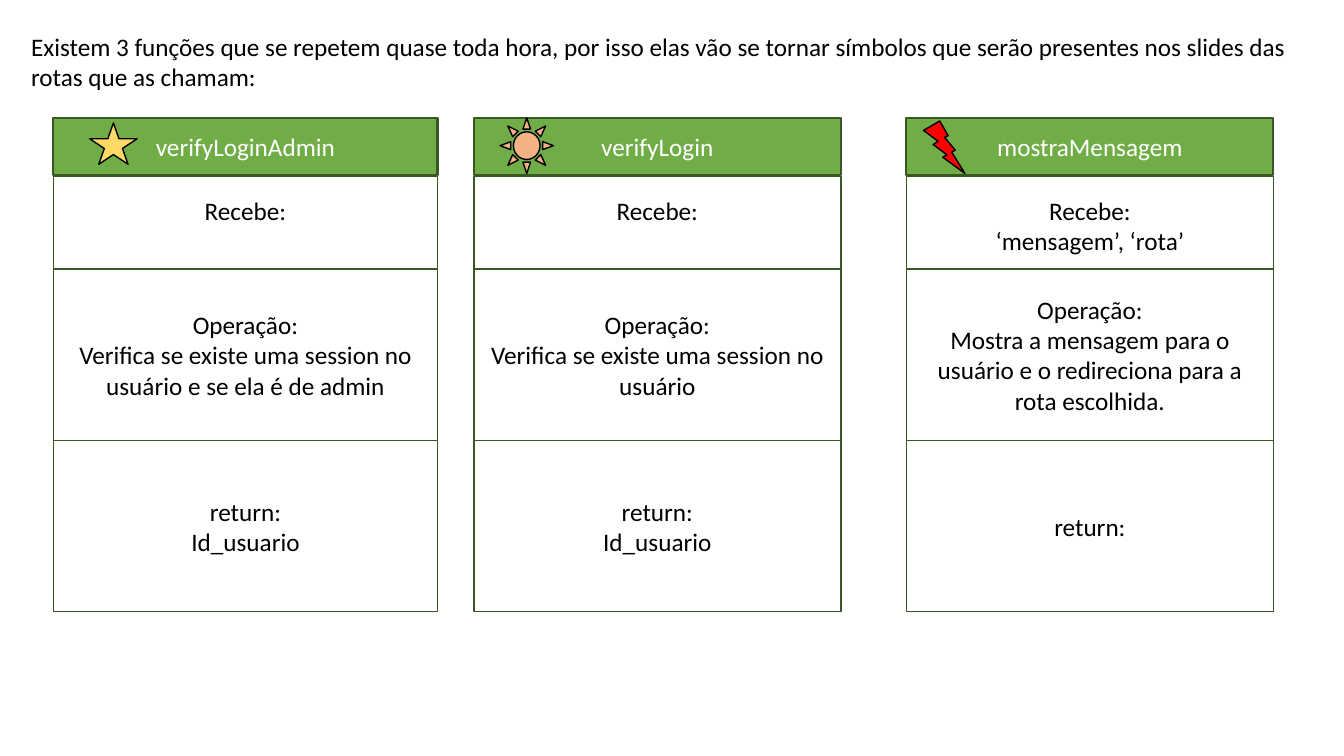
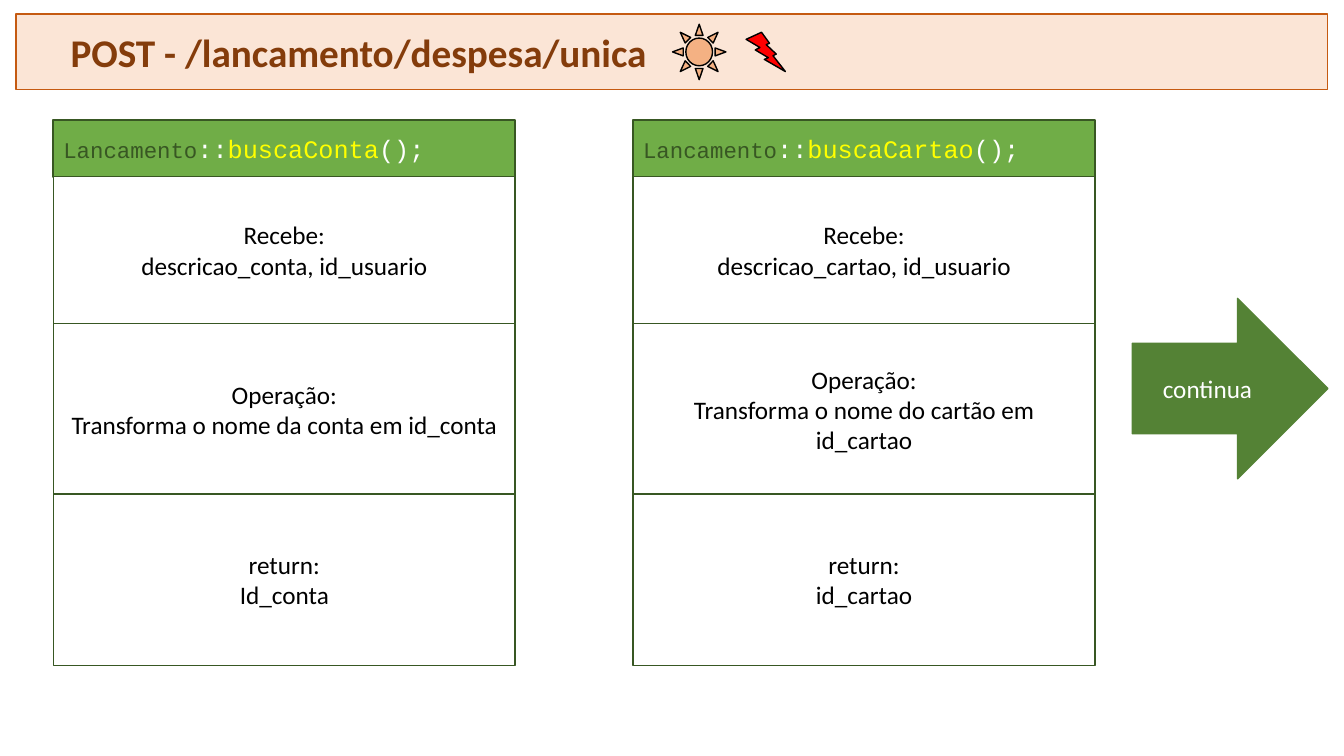
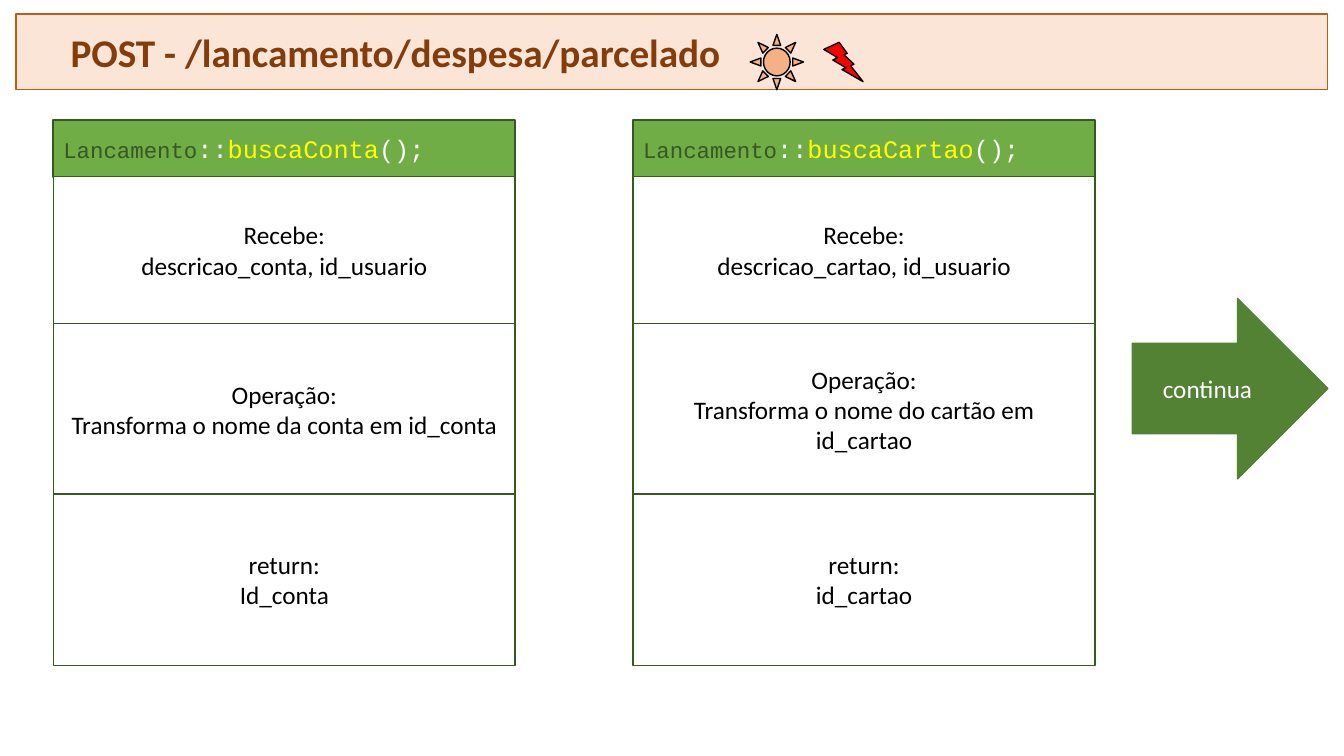
import pptx
import pptx.util
import pptx.dml.color
import pptx.enum.shapes
import pptx.enum.text

Inches = pptx.util.Inches
Pt = pptx.util.Pt
SHAPES = pptx.enum.shapes.MSO_SHAPE
ALIGN = pptx.enum.text.PP_ALIGN

COLORS = {
    "white": "FFFFFF",
    "black": "000000",
    "header": "70AD47",
    "border": "385723",
    "arrow": "548235",
    "banner": "FBE5D6",
    "banner_line": "C55A11",
    "banner_text": "843C0B",
    "method": "FFFF00",
    "star": "FFD966",
    "sun": "F4B183",
    "bolt": "FF0000",
}
BODY_FONT = "Calibri"
CODE_FONT = "Courier New"
HEADER_BOTTOM = 1.75
HEADER_HEIGHT = 0.57
CARD_LEFT = 0.53


def add_box(slide, kind, at, fill, line, weight=1, lines=(), color="black", size=18, align=ALIGN.CENTER):
    shape = slide.shapes.add_shape(kind, *[Inches(length) for length in at])
    shape.shadow.inherit = False
    shape.fill.solid()
    shape.fill.fore_color.rgb = pptx.dml.color.RGBColor.from_string(COLORS[fill])
    shape.line.color.rgb = pptx.dml.color.RGBColor.from_string(COLORS[line])
    shape.line.width = Pt(weight)
    text_frame = shape.text_frame
    text_frame.word_wrap = True
    text_frame.vertical_anchor = pptx.enum.text.MSO_ANCHOR.MIDDLE
    text_frame.text = "\n".join(lines)
    for paragraph in text_frame.paragraphs:
        paragraph.alignment = align
        for run in paragraph.runs:
            run.font.name = BODY_FONT
            run.font.size = Pt(size)
            run.font.color.rgb = pptx.dml.color.RGBColor.from_string(COLORS[color])
    return shape


def add_card(slide, left, width, header_top, title, sections):
    header = add_box(slide, SHAPES.RECTANGLE, (left, header_top, width, HEADER_HEIGHT),
                     "header", "border", 1.5, title, "white")
    for top, height, lines in sections:
        section = add_box(slide, SHAPES.RECTANGLE, (left, top, width, height),
                          "white", "border", lines=lines)
        if lines == ["Recebe:"]:
            section.text_frame.margin_bottom = Inches(0.35)
    return header


presentation = pptx.Presentation()
presentation.slide_width = Inches(13.33)
presentation.slide_height = Inches(7.5)
blank_layout = presentation.slide_layouts[6]

slide = presentation.slides.add_slide(blank_layout)
intro = slide.shapes.add_textbox(Inches(0.21), Inches(0.26), Inches(12.72), Inches(0.71))
intro.text_frame.word_wrap = True
intro.text_frame.text = (
    "Existem 3 funções que se repetem quase toda hora, por isso elas vão se tornar "
    "símbolos que serão presentes nos slides das rotas que as chamam:"
)
intro_font = intro.text_frame.paragraphs[0].runs[0].font
intro_font.name = BODY_FONT
intro_font.size = Pt(18)
intro_font.color.rgb = pptx.dml.color.RGBColor.from_string(COLORS["black"])

functions = [
    (CARD_LEFT, 3.81, "verifyLoginAdmin", [],
     "Verifica se existe uma session no usuário e se ela é de admin", ["Id_usuario"],
     SHAPES.STAR_5_POINT, (0.89, 1.22, 0.47, 0.41), "star"),
    (4.7, 3.64, "verifyLogin", [],
     "Verifica se existe uma session no usuário", ["Id_usuario"],
     SHAPES.SUN, (4.96, 1.17, 0.53, 0.55), "sun"),
    (8.99, 3.64, "mostraMensagem", ["‘mensagem’, ‘rota’"],
     "Mostra a mensagem para o usuário e o redireciona para a rota escolhida.", [],
     SHAPES.LIGHTNING_BOLT, (9.16, 1.2, 0.41, 0.52), "bolt"),
]
for left, width, name, received, operation, returned, symbol, symbol_at, symbol_fill in functions:
    add_card(slide, left, width, 1.17, [name], [
        (HEADER_BOTTOM, 0.97, ["Recebe:"] + received),
        (2.67, 1.7, ["Operação:", operation]),
        (4.37, 1.7, ["return:"] + returned),
    ])
    add_box(slide, symbol, symbol_at, symbol_fill, "black")

routes = [
    ("POST - /lancamento/despesa/unica", 6.67, 0.24),
    ("POST - /lancamento/despesa/parcelado", 7.44, 0.34),
]
searches = [
    (CARD_LEFT, "buscaConta", "descricao_conta, id_usuario",
     "Transforma o nome da conta em id_conta", "Id_conta"),
    (6.28, "buscaCartao", "descricao_cartao, id_usuario",
     "Transforma o nome do cartão em id_cartao", "id_cartao"),
]
for route, sun_left, sun_top in routes:
    slide = presentation.slides.add_slide(blank_layout)
    banner = add_box(slide, SHAPES.RECTANGLE, (0.16, 0.14, 13.01, 0.75), "banner", "banner_line",
                     lines=[route], color="banner_text", size=28, align=ALIGN.LEFT)
    banner.text_frame.margin_left = Inches(0.54)
    banner.text_frame.paragraphs[0].runs[0].font.bold = True
    add_box(slide, SHAPES.SUN, (sun_left, sun_top, 0.53, 0.55), "sun", "black")
    add_box(slide, SHAPES.LIGHTNING_BOLT, (sun_left + 0.73, sun_top + 0.08, 0.39, 0.39), "bolt", "black")

    for left, method, received, operation, returned in searches:
        header = add_card(slide, left, 4.58, 1.19, [], [
            (HEADER_BOTTOM, 1.46, ["Recebe:", received]),
            (3.21, 1.7, ["Operação:", operation]),
            (4.9, 1.7, ["return:", returned]),
        ])
        paragraph = header.text_frame.paragraphs[0]
        paragraph.alignment = ALIGN.LEFT
        for text, size, color in [("Lancamento", 16, "border"), ("::", 18, "white"),
                                  (method, 18, "method"), ("();", 18, "white")]:
            run = paragraph.add_run()
            run.text = text
            run.font.name = CODE_FONT
            run.font.size = Pt(size)
            run.font.color.rgb = pptx.dml.color.RGBColor.from_string(COLORS[color])

    add_box(slide, SHAPES.RIGHT_ARROW, (11.23, 2.96, 1.94, 1.79), "arrow", "arrow",
            lines=["continua"], color="white")

presentation.save("out.pptx")
